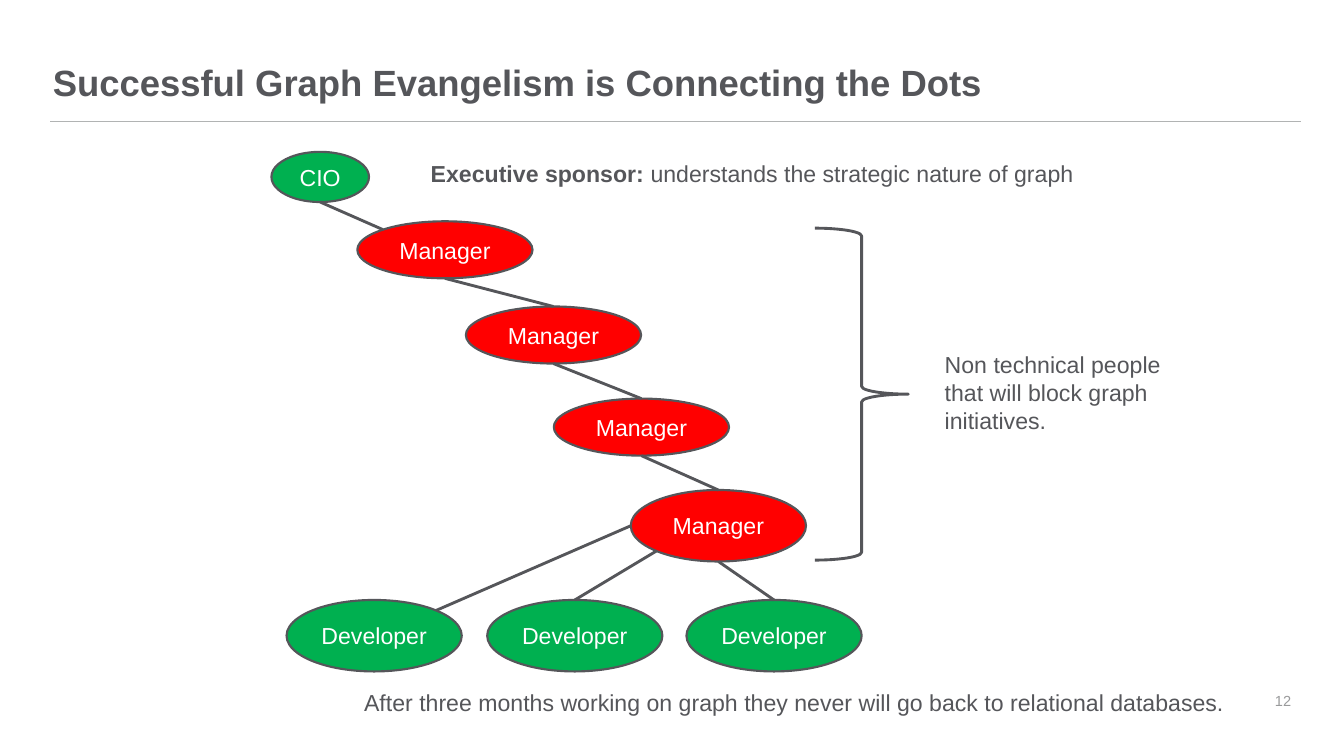
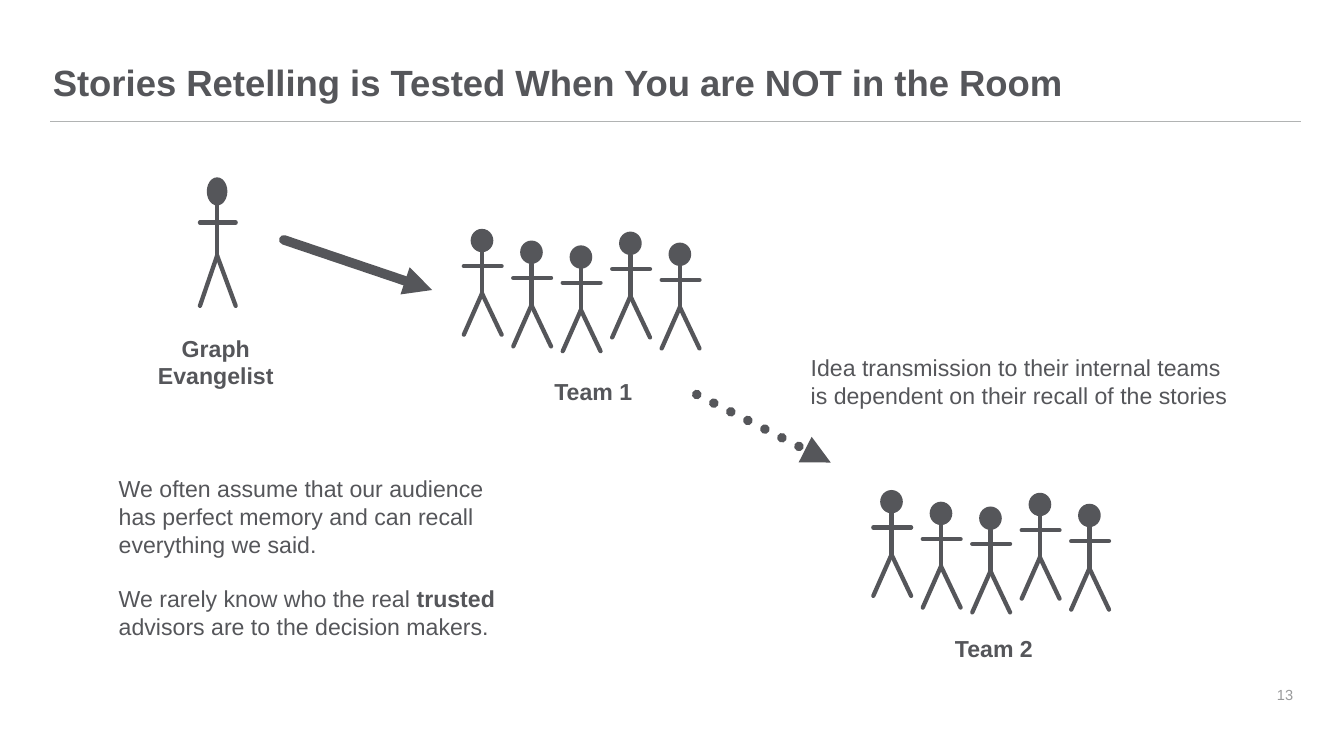
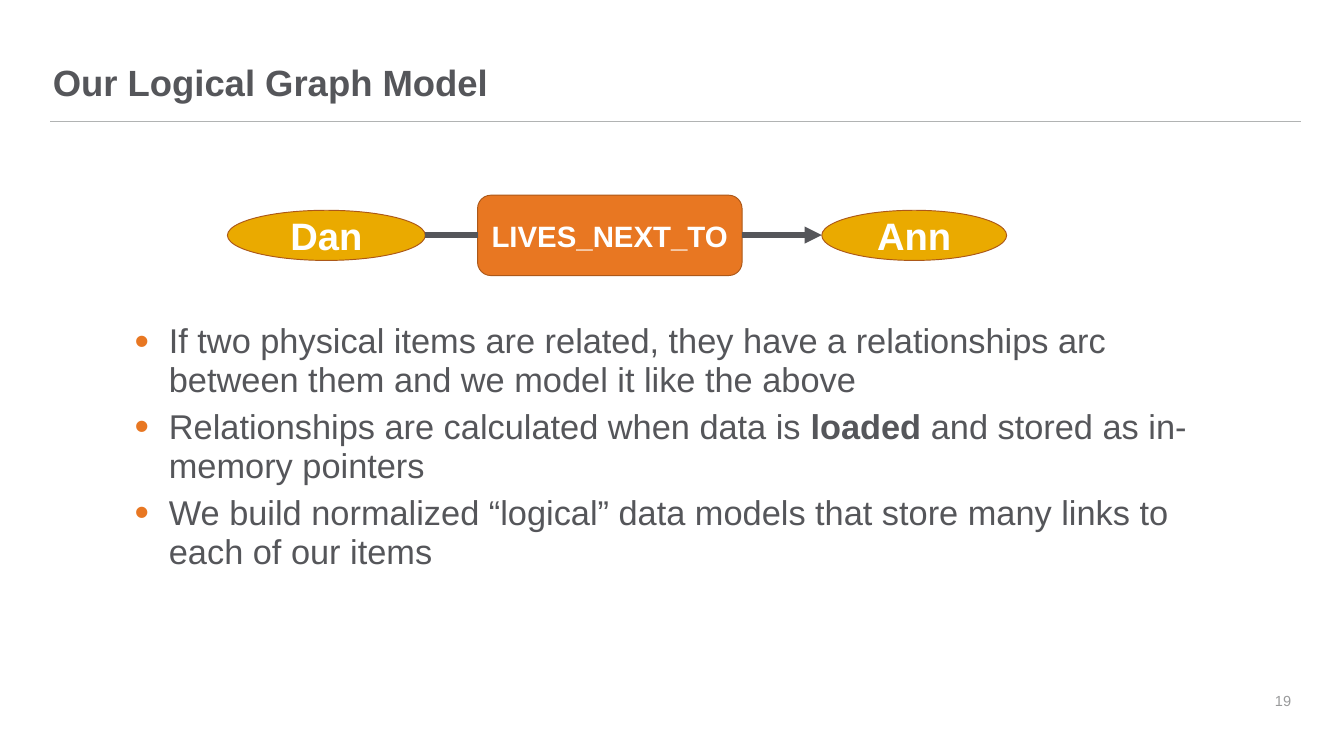
from dataclasses import dataclass
from math import cos, radians, sin

from lxml import etree
from pptx import Presentation
from pptx.dml.color import RGBColor
from pptx.enum.dml import MSO_LINE
from pptx.enum.shapes import MSO_CONNECTOR, MSO_SHAPE
from pptx.enum.text import MSO_ANCHOR, MSO_AUTO_SIZE, PP_ALIGN
from pptx.oxml.ns import qn
from pptx.util import Inches, Pt

OVAL = MSO_SHAPE.OVAL
ROUND = MSO_SHAPE.ROUNDED_RECTANGLE
BRACE = MSO_SHAPE.RIGHT_BRACE
LINE = MSO_CONNECTOR.STRAIGHT
DOTS = MSO_LINE.ROUND_DOT
LEFT, MID, RIGHT = PP_ALIGN.LEFT, PP_ALIGN.CENTER, PP_ALIGN.RIGHT
TOP, MIDDLE = MSO_ANCHOR.TOP, MSO_ANCHOR.MIDDLE
GROW = MSO_AUTO_SIZE.SHAPE_TO_FIT_TEXT


@dataclass(frozen=True)
class Theme:
    font: str = "Arial"
    ink: str = "55565A"
    rule: str = "B1B3B3"
    faint: str = "999A9B"
    white: str = "FFFFFF"
    green: str = "00B050"
    red: str = "FF0000"
    gold: str = "EAAA00"
    orange: str = "E87722"
    rust: str = "AC5819"
    title: float = 38.2
    text: float = 24.2
    small: float = 15.3
    body: float = 36
    node: float = 40
    arc: float = 30.8


T = Theme()
SIZE = (19.56, 11)

STAFF = {
    "cio": ("CIO", T.green, (3.95, 2.21, 1.42, 0.73)),
    "man1": ("Manager", T.red, (5.2, 3.22, 2.55, 0.83)),
    "man2": ("Manager", T.red, (6.78, 4.46, 2.55, 0.83)),
    "man3": ("Manager", T.red, (8.06, 5.8, 2.55, 0.83)),
    "man4": ("Manager", T.red, (9.18, 7.13, 2.55, 1.04)),
    "dev1": ("Developer", T.green, (4.17, 8.73, 2.55, 1.04)),
    "dev2": ("Developer", T.green, (7.09, 8.73, 2.55, 1.04)),
    "dev3": ("Developer", T.green, (9.99, 8.73, 2.55, 1.04)),
}
ANGLE = {"e": 0, "se": 45, "s": 90, "sw": 135, "w": 180, "nw": 225, "n": 270, "ne": 315}
LINKS = [
    ("cio", "s", "man1", "nw"),
    ("man1", "s", "man2", "n"),
    ("man2", "s", "man3", "n"),
    ("man3", "s", "man4", "n"),
    ("man4", "w", "dev1", "ne"),
    ("man4", "sw", "dev2", "n"),
    ("man4", "s", "dev3", "n"),
]
CLAIMS = [
    ((6.17, 2.27, 9.65, 0.51), [[("Executive sponsor:", True),
        (" understands the strategic nature of graph", False)]]),
    ((5.2, 9.97, 12.76, 0.51), [[(
        "After three months working on graph they never will go back to relational databases.", False)]]),
    ((13.65, 5.05, 3.38, 1.32), [[(
        "Non technical people\nthat will block graph\ninitiatives.", False)]]),
]

TEAMS = [(6.85, 3.33), (12.81, 7.13)]
STEP = 0.72
DROPS = [0, 0.17, 0.24, 0.04, 0.2]
NAMES = [
    ((2.19, 4.81, 1.9, 0.92), ["Graph", "Evangelist"]),
    ((7.96, 5.44, 1.35, 0.51), ["Team 1"]),
    ((13.79, 9.18, 1.35, 0.51), ["Team 2"]),
]
IDEA = [[("Idea transmission to their internal teams\n"
          "is dependent on their recall of the stories", False)]]
RECALL = [
    [("We often assume that our audience has perfect memory and can recall everything we said.", False)],
    [("We rarely know who the real ", False), ("trusted", True),
     (" advisors are to the decision makers.", False)],
]

NODES = [
    ("Dan", OVAL, T.gold, T.node, (3.31, 3.06, 2.88, 0.73)),
    ("LIVES_NEXT_TO", ROUND, T.orange, T.arc, (6.95, 2.84, 3.85, 1.17)),
    ("Ann", OVAL, T.gold, T.node, (11.96, 3.06, 2.69, 0.73)),
]
POINTS = [
    [("If two physical items are related, they have a relationships arc between them and we model it like the above", False)],
    [("Relationships are calculated when data is ", False), ("loaded", True),
     (" and stored as in-memory pointers", False)],
    [("We build normalized “logical” data models that store many links to each of our items", False)],
]


def color(code):
    return RGBColor.from_string(code)


def write(frame, paras, size=T.text, ink=T.ink, align=LEFT, lead=None, gap=0, after=0, dot=False):
    for i, runs in enumerate(paras):
        para = frame.add_paragraph() if i else frame.paragraphs[0]
        if dot:
            bullet(para)
        para.alignment = align
        if lead:
            para.line_spacing = lead
        if i and gap:
            para.space_before = Pt(gap)
        if after:
            para.space_after = Pt(after)
        for words, bold in runs:
            for j, part in enumerate(words.split("\n")):
                if j:
                    para.add_line_break()
                run = para.add_run()
                run.text = part
                font = run.font
                font.name, font.size, font.bold = T.font, Pt(size), bold
                font.color.rgb = color(ink)


def bullet(para):
    props = para._p.get_or_add_pPr()
    props.set("marL", str(Inches(0.5)))
    props.set("indent", str(-Inches(0.5)))
    tint = etree.SubElement(props, qn("a:buClr"))
    etree.SubElement(tint, qn("a:srgbClr"), val=T.orange)
    etree.SubElement(props, qn("a:buSzPct"), val="120000")
    etree.SubElement(props, qn("a:buFont"), typeface=T.font)
    etree.SubElement(props, qn("a:buChar"), char="•")


def label(slide, at, paras, pad=0.05, wrap=True, grow=False, anchor=TOP, **style):
    box = slide.shapes.add_textbox(*map(Inches, at))
    frame = box.text_frame
    frame.word_wrap = wrap
    frame.vertical_anchor = anchor
    frame.margin_top = frame.margin_bottom = Inches(pad)
    if grow:
        frame.auto_size = GROW
    write(frame, paras, **style)


def shape(shapes, kind, at, fill=None, edge=None, width=1, words="", **style):
    item = shapes.add_shape(kind, *map(Inches, at))
    item.shadow.inherit = False
    if fill:
        item.fill.solid()
        item.fill.fore_color.rgb = color(fill)
    else:
        item.fill.background()
    if edge:
        item.line.color.rgb = color(edge)
        item.line.width = Pt(width)
    else:
        item.line.fill.background()
    if words:
        frame = item.text_frame
        frame.word_wrap = True
        frame.vertical_anchor = MIDDLE
        write(frame, words, ink=T.white, align=MID, **style)


def line(shapes, start, end, width, ink=T.ink, cap="flat", dash=None, arrow=False):
    item = shapes.add_connector(LINE, *map(Inches, (*start, *end)))
    item.line.color.rgb = color(ink)
    item.line.width = Pt(width)
    if dash:
        item.line.dash_style = dash
    props = item._element.spPr
    stroke = props.find(qn("a:ln"))
    stroke.set("cap", cap)
    if arrow:
        etree.SubElement(stroke, qn("a:tailEnd"), type="triangle")
    etree.SubElement(props, qn("a:effectLst"))


def page(deck, title, number, spot=(17.72, 9.77)):
    slide = deck.slides.add_slide(deck.slide_layouts[6])
    line(slide.shapes, (0.73, 1.77), (18.94, 1.77), 1, T.rule)
    label(slide, (0.67, 0.84, 18.22, 0.89), [[(title, True)]], pad=0.1, size=T.title, lead=0.9)
    label(slide, (*spot, 1.17, 0.84), [[(number, False)]], pad=0.1, anchor=MIDDLE,
          size=T.small, ink=T.faint, align=RIGHT)
    return slide


def rim(name, side):
    x, y, w, h = STAFF[name][2]
    turn = radians(ANGLE[side])
    return x + w / 2 * (1 + cos(turn)), y + h / 2 * (1 + sin(turn))


def person(shapes, x, y, w, h, neck):
    shape(shapes, OVAL, (x, y, w, h), T.ink)
    mid, chin = x + w / 2, y + h
    hip, arm, foot = chin + neck, chin + neck * 0.34, chin + neck * 2
    near, far = x - 0.1, x + w + 0.12
    for start, end in [((mid, chin), (mid, hip)), ((near, arm), (far, arm)),
                       ((near, foot), (mid, hip)), ((far, foot), (mid, hip))]:
        line(shapes, start, end, 4.5, cap="rnd")


def dots(deck):
    slide = page(deck, "Successful Graph Evangelism is Connecting the Dots", "12")
    for words, fill, at in STAFF.values():
        shape(slide.shapes, OVAL, at, fill, T.ink, 2.25, [[(words, False)]])
    for a, out, b, into in LINKS:
        line(slide.shapes, rim(a, out), rim(b, into), 3)
    shape(slide.shapes, BRACE, (11.86, 3.32, 1.36, 4.83), edge=T.ink, width=3)
    for at, paras in CLAIMS:
        label(slide, at, paras, wrap=False, grow=True)


def stories(deck):
    slide = page(deck, "Stories Retelling is Tested When You are NOT in the Room", "13", (17.75, 9.69))
    person(slide.shapes.add_group_shape().shapes, 3.01, 2.58, 0.3, 0.41, 0.73)
    for x, y in TEAMS:
        team = slide.shapes.add_group_shape().shapes
        for i, drop in enumerate(DROPS):
            person(team, x + i * STEP, y + drop, 0.33, 0.34, 0.6)
    line(slide.shapes, (4.13, 3.49), (6.29, 4.22), 10, cap="rnd", arrow=True)
    line(slide.shapes, (10.14, 5.74), (12.09, 6.73), 10, cap="rnd", dash=DOTS, arrow=True)
    for at, names in NAMES:
        label(slide, at, [[(name, True)] for name in names], wrap=False, grow=True, align=MID)
    label(slide, (11.7, 5.09, 6.35, 0.92), IDEA, wrap=False, grow=True)
    label(slide, (1.63, 6.86, 5.87, 2.54), RECALL, grow=True, gap=27.8)


def model(deck):
    slide = page(deck, "Our Logical Graph Model", "19")
    label(slide, (1.86, 4.59, 15.84, 5.18), POINTS, pad=0.1, size=T.body, lead=0.95, after=7.7, dot=True)
    for words, kind, fill, size, at in NODES:
        shape(slide.shapes, kind, at, fill, T.rust, 1, [[(words, True)]], size=size)
    for a, b in zip(NODES, NODES[1:]):
        x, _, w, _ = a[-1]
        line(slide.shapes, (x + w, 3.42), (b[-1][0], 3.42), 6, arrow=b is NODES[-1])


def main():
    deck = Presentation()
    deck.slide_width, deck.slide_height = map(Inches, SIZE)
    for build in (dots, stories, model):
        build(deck)
    deck.save("out.pptx")


if __name__ == "__main__":
    main()
